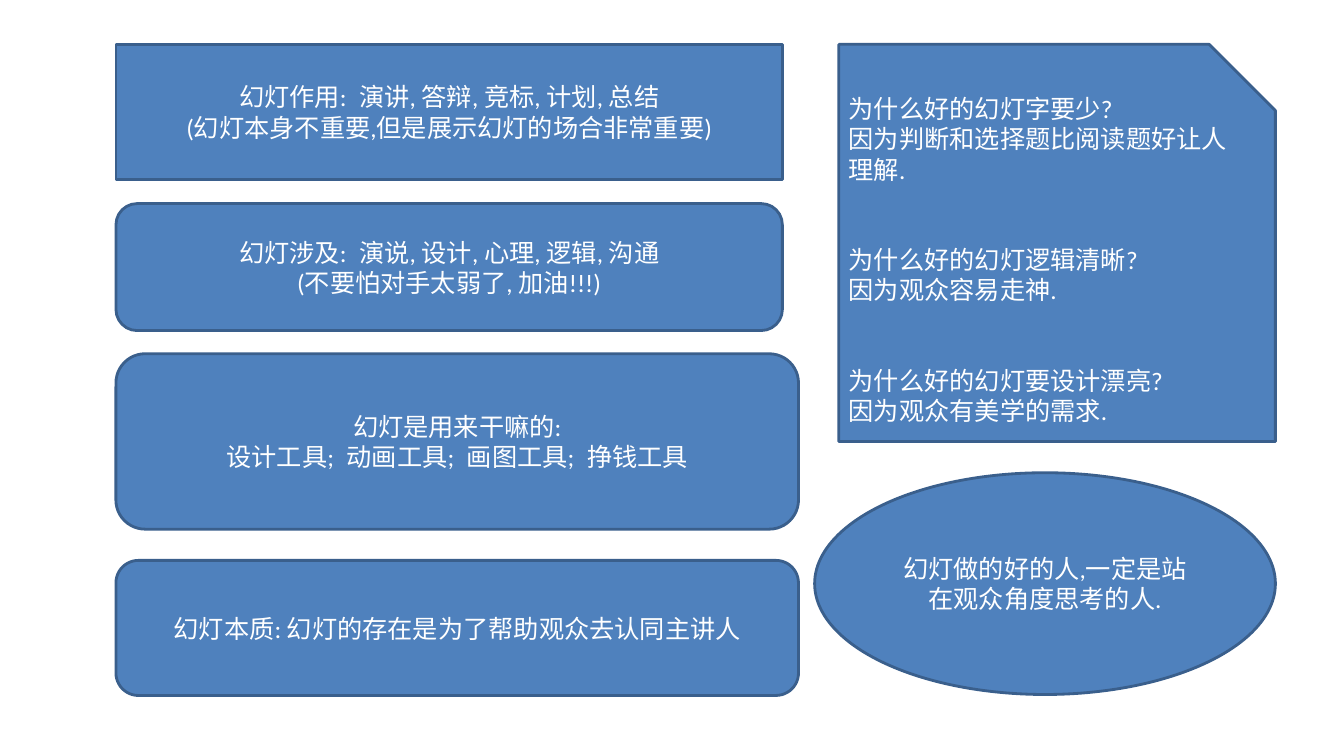
from pptx import Presentation
from pptx.dml.color import RGBColor
from pptx.enum.shapes import MSO_SHAPE as Shape
from pptx.enum.text import MSO_ANCHOR as Anchor, PP_ALIGN as Align
from pptx.util import Inches, Pt

FILL, EDGE, INK = "4F81BD", "3A5F8C", "FFFFFF"
FONT = {"name": "Calibri", "size": Pt(18)}
GAP = "\u2002"  # en space between listed items
QUESTION_GAP = Pt(43)

# Left column: shape, top, width, height, lines
LEFT = 1.15
TOPICS = [
    (Shape.RECTANGLE, 0.44, 6.61, 1.34,
     [f"幻灯作用:{GAP}演讲, 答辩, 竞标, 计划, 总结",
      "(幻灯本身不重要,但是展示幻灯的场合非常重要)"]),
    (Shape.ROUNDED_RECTANGLE, 2.02, 6.61, 1.26,
     [f"幻灯涉及:{GAP}演说, 设计, 心理, 逻辑, 沟通",
      "(不要怕对手太弱了, 加油!!!)"]),
    (Shape.ROUNDED_RECTANGLE, 3.51, 6.77, 1.74,
     ["幻灯是用来干嘛的:",
      f";{GAP}".join(["设计工具", "动画工具", "画图工具", "挣钱工具"])]),
    (Shape.ROUNDED_RECTANGLE, 5.56, 6.77, 1.34,
     ["幻灯本质: 幻灯的存在是为了帮助观众去认同主讲人"]),
]

# Right column: reasons and conclusion
REASONS = [
    ("为什么好的幻灯字要少?", "因为判断和选择题比阅读题好让人理解."),
    ("为什么好的幻灯逻辑清晰?", "因为观众容易走神."),
    ("为什么好的幻灯要设计漂亮?", "因为观众有美学的需求."),
]
CONCLUSION = "幻灯做的好的人,一定是站在观众角度思考的人."


def color(value):
    return RGBColor.from_string(value)


def add_box(kind, left, top, width, height, lines, align=Align.CENTER):
    box = page.shapes.add_shape(kind, *map(Inches, (left, top, width, height)))
    box.shadow.inherit = False
    box.fill.solid()
    box.fill.fore_color.rgb = color(FILL)
    box.line.color.rgb = color(EDGE)
    box.line.width = Pt(2)
    frame = box.text_frame
    frame.word_wrap = True
    frame.vertical_anchor = Anchor.MIDDLE
    for index, line in enumerate(lines):
        para = frame.add_paragraph() if index else frame.paragraphs[0]
        para.alignment = align
        span = para.add_run()
        span.text = line
        for key, value in FONT.items():
            setattr(span.font, key, value)
        span.font.color.rgb = color(INK)
    return box


deck = Presentation()
deck.slide_width, deck.slide_height = Inches(13.33), Inches(7.5)
page = deck.slides.add_slide(deck.slide_layouts[6])

# Topic boxes
for kind, top, width, height, lines in TOPICS:
    add_box(kind, LEFT, top, width, height, lines)

# Question and answer card, spaced before each later question
answers = [line for pair in REASONS for line in pair]
card = add_box(Shape.SNIP_1_RECTANGLE, 8.32, 0.44, 4.33, 3.94, answers, Align.LEFT)
for question in card.text_frame.paragraphs[2::2]:
    question.space_before = QUESTION_GAP

# Conclusion
add_box(Shape.OVAL, 8.08, 4.69, 4.57, 2.2, [CONCLUSION])

deck.save("out.pptx")
